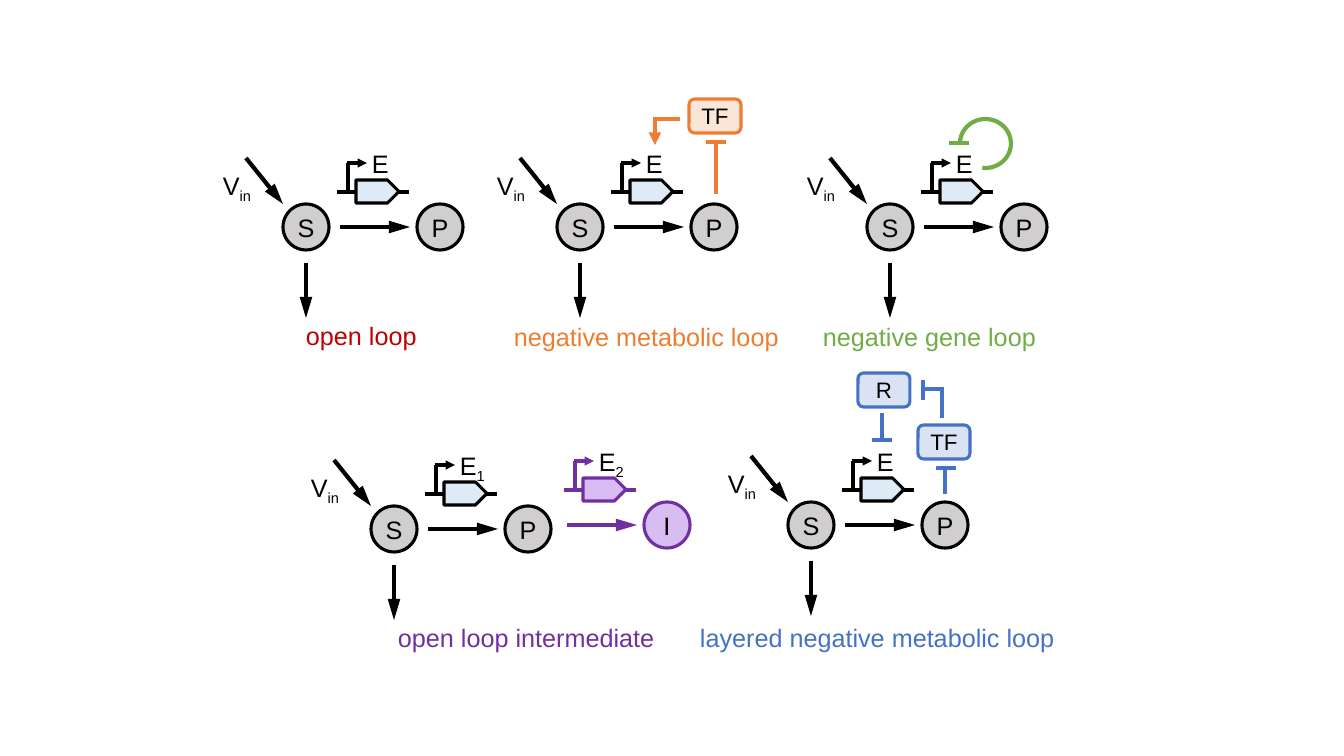
import dataclasses

import lxml.etree
import pptx
import pptx.dml.color
import pptx.enum.shapes
import pptx.enum.text
import pptx.oxml.ns
import pptx.util

PX = 914400 / 100.8
SHAPE = pptx.enum.shapes.MSO_SHAPE


@dataclasses.dataclass(frozen=True)
class Theme:
    font: str = "Arial"
    label_size: int = 18
    box_size: int = 16
    thin: float = 2.25
    thick: float = 3
    black: str = "000000"
    grey: str = "D0CECE"
    gene: str = "DEEBF7"
    red: str = "C00000"
    orange: str = "ED7D31"
    pale_orange: str = "FBE5D6"
    green: str = "70AD47"
    purple: str = "7030A0"
    pale_purple: str = "D7BDF2"
    blue: str = "4472C4"
    pale_blue: str = "DAE3F3"


theme = Theme()
presentation = pptx.Presentation()
presentation.slide_width = round(1344 * PX)
presentation.slide_height = round(756 * PX)
slide = presentation.slides.add_slide(presentation.slide_layouts[6])


def add_line(start, end, color, width, head=None):
    """Draw a straight line; head is the arrowhead length ("med" or "lg")."""
    ends = [round(value * PX) for value in (*start, *end)]
    connector = slide.shapes.add_connector(pptx.enum.shapes.MSO_CONNECTOR.STRAIGHT, *ends)
    connector.line.color.rgb = pptx.dml.color.RGBColor.from_string(color)
    connector.line.width = pptx.util.Pt(width)
    if head:
        lxml.etree.SubElement(connector.line._get_or_add_ln(), pptx.oxml.ns.qn("a:tailEnd"),
                              type="triangle", w="med", len=head)
    lxml.etree.SubElement(connector._element.spPr, pptx.oxml.ns.qn("a:effectLst"))


def add_item(box, text="", subscript="", kind=None, fill=None, line=None,
             size=theme.label_size, color=theme.black):
    """Add a preset shape, or a plain label when kind is None."""
    place = [round(value * PX) for value in box]
    if kind is None:
        shape = slide.shapes.add_textbox(*place)
    else:
        shape = slide.shapes.add_shape(kind, *place)
        shape.shadow.inherit = False
        shape.line.color.rgb = pptx.dml.color.RGBColor.from_string(line)
        shape.line.width = pptx.util.Pt(theme.thin)
        if fill:
            shape.fill.solid()
            shape.fill.fore_color.rgb = pptx.dml.color.RGBColor.from_string(fill)
        else:
            shape.fill.background()
    frame = shape.text_frame
    frame.word_wrap = False
    paragraph = frame.paragraphs[0]
    if kind is not None:
        frame.vertical_anchor = pptx.enum.text.MSO_ANCHOR.MIDDLE
        frame.margin_left = frame.margin_right = frame.margin_top = frame.margin_bottom = 0
        paragraph.alignment = pptx.enum.text.PP_ALIGN.CENTER
    for part, baseline in ((text, None), (subscript, "-25000")):
        if part:
            run = paragraph.add_run()
            run.text = part
            run.font.name = theme.font
            run.font.size = pptx.util.Pt(size)
            run.font.color.rgb = pptx.dml.color.RGBColor.from_string(color)
            if baseline:
                run._r.get_or_add_rPr().set("baseline", baseline)
    return shape


# Substrate S with its inflow and outflow
for x, y in ((283, 204), (557, 204), (867, 204), (371, 506), (788, 502)):
    add_item((x, y, 46, 46), "S", kind=SHAPE.OVAL, fill=theme.grey, line=theme.black)
    add_line((x - 37, y - 46), (x, y), theme.black, theme.thick, "lg")
    add_line((x + 23, y + 59), (x + 23, y + 114), theme.black, theme.thick, "lg")
    add_item((x - 70, y - 39, 50, 40), "V", "in")

# Reaction step: arrow, product and the gene of its enzyme
black_step = (theme.black, theme.grey, theme.gene)
purple_step = (theme.purple, theme.pale_purple, theme.pale_purple)
for x, y, number, product, (line, node_fill, gene_fill) in (
    (283, 204, "", "P", black_step),
    (557, 204, "", "P", black_step),
    (867, 204, "", "P", black_step),
    (371, 506, "1", "P", black_step),
    (510, 502, "2", "I", purple_step),
    (788, 502, "", "P", black_step),
):
    add_line((x + 57, y + 23), (x + 127, y + 23), line, theme.thick, "lg")
    add_item((x + 134, y, 46, 46), product, kind=SHAPE.OVAL, fill=node_fill, line=line)
    add_line((x + 126, y - 12), (x + 54, y - 12), line, theme.thin)
    add_line((x + 65, y - 41), (x + 65, y - 12), line, theme.thin)
    add_line((x + 64, y - 41), (x + 84, y - 41), line, theme.thin, "med")
    add_item((x + 73, y - 24, 43, 23), kind=SHAPE.PENTAGON, fill=gene_fill, line=line)
    add_item((x + 79, y - 61, 46 if number else 37, 40), "E", number)

# Regulators
for x, y, name, fill, line in (
    (689, 99, "TF", theme.pale_orange, theme.orange),
    (918, 425, "TF", theme.pale_blue, theme.blue),
    (858, 373, "R", theme.pale_blue, theme.blue),
):
    add_item((x, y, 52, 34), name, kind=SHAPE.ROUNDED_RECTANGLE, fill=fill, line=line,
             size=theme.box_size)

# Regulation links
for start, end, color, head in (
    ((716, 194), (716, 143), theme.orange, None),
    ((726, 142), (706, 142), theme.orange, None),
    ((680, 119), (653, 119), theme.orange, None),
    ((655, 119), (655, 145), theme.orange, "med"),
    ((969, 143), (949, 143), theme.green, None),
    ((945, 494), (945, 469), theme.blue, None),
    ((956, 468), (936, 468), theme.blue, None),
    ((942, 418), (942, 389), theme.blue, None),
    ((944, 389), (923, 389), theme.blue, None),
    ((923, 380), (923, 400), theme.blue, None),
    ((882, 438), (882, 413), theme.blue, None),
    ((892, 440), (872, 440), theme.blue, None),
):
    add_line(start, end, color, theme.thick, head)

gene_loop = add_item((960, 119, 51, 49), kind=SHAPE.ARC, line=theme.green)
gene_loop.line.width = pptx.util.Pt(theme.thick)
gene_loop.adjustments[0] = 109.37
gene_loop.adjustments[1] = 58.38

# Captions
for x, y, width, caption, color in (
    (296, 315, 132, "open loop", theme.red),
    (504, 316, 287, "negative metabolic loop", theme.orange),
    (813, 316, 235, "negative gene loop", theme.green),
    (388, 617, 279, "open loop intermediate", theme.purple),
    (690, 617, 378, "layered negative metabolic loop", theme.blue),
):
    add_item((x, y, width, 40), caption, color=color)

presentation.save("out.pptx")
